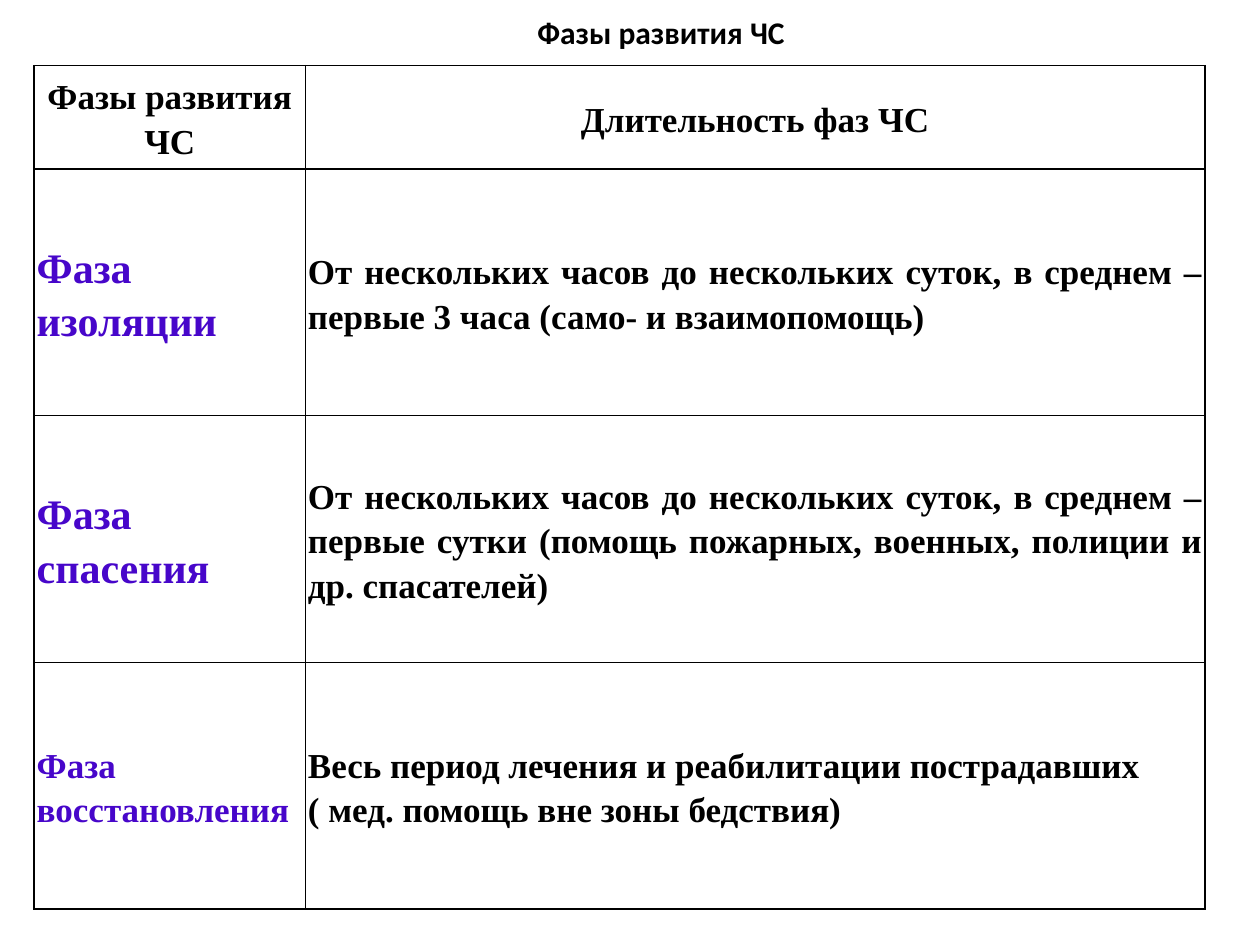
import pptx
import pptx.util
import pptx.dml.color
import pptx.enum.text
import pptx.oxml.ns
from lxml import etree

Pt = pptx.util.Pt
Align = pptx.enum.text.PP_ALIGN
Anchor = pptx.enum.text.MSO_ANCHOR

TITLE = "Фазы развития ЧС"
HEAD = ("Фазы развития ЧС", "Длительность фаз ЧС")
# phase, size of its name, duration
PHASES = [
    ("Фаза изоляции", "large",
     "От нескольких часов до нескольких суток, в среднем – "
     "первые 3 часа (само- и взаимопомощь)"),
    ("Фаза спасения", "large",
     "От нескольких часов до нескольких суток, в среднем – первые сутки "
     "(помощь пожарных, военных, полиции и др. спасателей)"),
    ("Фаза восстановления", "body",
     "Весь период лечения и реабилитации пострадавших\n"
     "( мед. помощь вне зоны бедствия)"),
]

THEME = {
    "ink": "000000", "phase": "4706CA", "paper": "FFFFFF",
    "title": 18, "body": 20, "large": 24,
    "title_font": "Calibri", "font": "Times New Roman",
    "line": 1, "pad": 1.5, "spacing": 1.15,
}
LEFT, TOP = 19.5, 37.5
WIDTHS = (155, 514)
HEIGHTS = (59,) + (141,) * len(PHASES)


def rgb(name):
    return pptx.dml.color.RGBColor.from_string(THEME[name])


def style(para, font, size, color, align):
    para.alignment = align
    for run in para.runs:
        run.font.name = THEME[font]
        run.font.size = Pt(THEME[size])
        run.font.bold = True
        run.font.color.rgb = rgb(color)


def frame(cell):
    """Draw a thin line on all four sides of a cell."""
    props = cell._tc.get_or_add_tcPr()
    qn = pptx.oxml.ns.qn
    for side in "LRTB":
        line = etree.SubElement(props, qn("a:ln" + side), w=str(Pt(THEME["line"])))
        fill = etree.SubElement(line, qn("a:solidFill"))
        etree.SubElement(fill, qn("a:srgbClr"), val=THEME["ink"])


def write(cell, text, size, color, align):
    frame(cell)
    cell.fill.solid()
    cell.fill.fore_color.rgb = rgb("paper")
    cell.vertical_anchor = Anchor.MIDDLE
    pad = Pt(THEME["pad"])
    cell.margin_left = cell.margin_right = pad
    cell.margin_top = cell.margin_bottom = pad
    cell.text_frame.text = text
    for para in cell.text_frame.paragraphs:
        style(para, "font", size, color, align)
        para.line_spacing = THEME["spacing"]


def add_title(slide):
    title = slide.shapes.title
    title.left, title.top, title.width, title.height = map(Pt, (263.5, 3.5, 193, 29))
    title.fill.solid()
    title.fill.fore_color.rgb = rgb("paper")
    text = title.text_frame
    text.text = TITLE
    text.word_wrap = False
    text.auto_size = pptx.enum.text.MSO_AUTO_SIZE.SHAPE_TO_FIT_TEXT
    text.vertical_anchor = Anchor.MIDDLE
    para = text.paragraphs[0]
    style(para, "title_font", "title", "ink", Align.CENTER)
    para._p.get_or_add_pPr().set("indent", str(Pt(35.5)))


def add_phases(slide):
    table = slide.shapes.add_table(
        len(HEIGHTS), len(WIDTHS), Pt(LEFT), Pt(TOP),
        Pt(sum(WIDTHS)), Pt(sum(HEIGHTS))).table
    for col, width in zip(table.columns, WIDTHS):
        col.width = Pt(width)
    for row, height in zip(table.rows, HEIGHTS):
        row.height = Pt(height)
    for col, text in enumerate(HEAD):
        write(table.cell(0, col), text, "body", "ink", Align.CENTER)
    for row, (phase, size, span) in enumerate(PHASES, 1):
        write(table.cell(row, 0), phase, size, "phase", Align.JUSTIFY)
        write(table.cell(row, 1), span, "body", "ink", Align.JUSTIFY)


def main():
    deck = pptx.Presentation()
    deck.slide_width, deck.slide_height = Pt(720), Pt(540)
    slide = deck.slides.add_slide(deck.slide_layouts[5])
    add_title(slide)
    add_phases(slide)
    deck.save("out.pptx")


if __name__ == "__main__":
    main()
